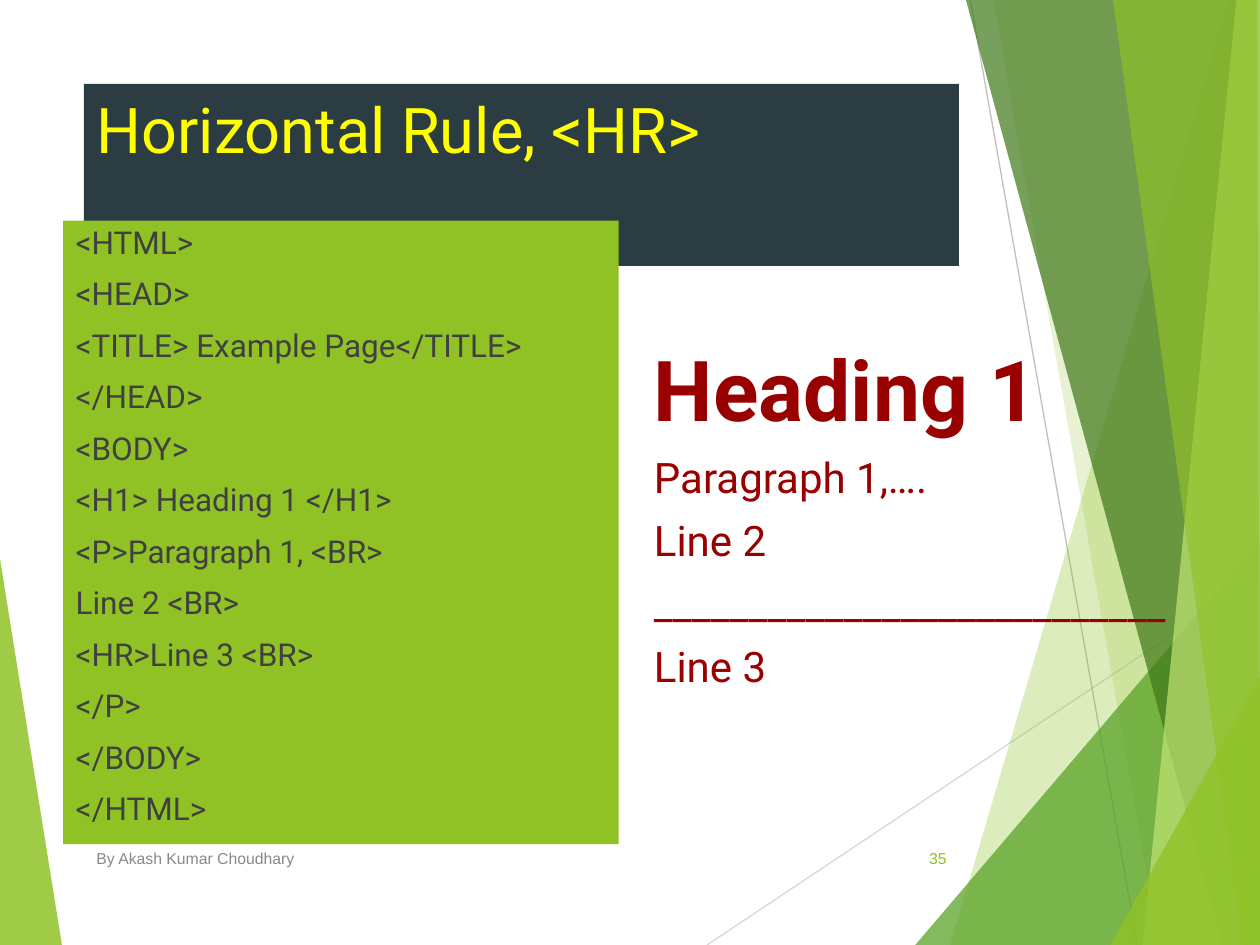
from dataclasses import dataclass
from itertools import pairwise

from lxml import etree
from pptx import Presentation
from pptx import util as u
from pptx.dml.color import RGBColor
from pptx.enum import shapes, text
from pptx.oxml.ns import qn


@dataclass(frozen=True)
class Theme:
    """Colours, fonts and type sizes of the slide."""
    green: str = "90C226"
    leaf: str = "54A021"
    forest: str = "3F7819"
    lime: str = "C0E474"
    slate: str = "2C3C43"
    yellow: str = "FFFF00"
    ink: str = "404040"
    red: str = "990000"
    grey: str = "898989"
    pale_line: str = "D9D9D9"
    line: str = "BFBFBF"
    font: str = "Roboto"
    small_font: str = "Arial"
    title: int = 36
    heading: int = 48
    result: int = 24
    code: int = 18
    small: int = 9


THEME = Theme()

CODE = [
    "<HTML>", "<HEAD>", "<TITLE> Example Page</TITLE>", "</HEAD>", "<BODY>",
    "<H1> Heading 1 </H1>", "<P>Paragraph 1, <BR>", "Line 2 <BR>",
    "<HR>Line 3 <BR>", "</P>", "</BODY>", "</HTML>",
]
RESULT = ["Paragraph 1,….", "Line 2", "_" * 27, "Line 3"]

RULES = [
    ((404, 540), (720.5, 329), THEME.pale_line),
    ((554.5, 0), (650, 540), THEME.line),
]
FACETS = [
    ([(702, 0), (543, 540), (721, 540), (721, 0)], THEME.green, 30),
    ([(567.5, 0), (662.5, 540), (721, 540), (721, 0)], THEME.green, 20),
    ([(523, 540), (720, 309), (721, 540)], THEME.leaf, 72),
    ([(552, 0), (698.5, 540), (721, 540), (721, 0)], THEME.forest, 70),
    ([(706.5, 0), (653, 540), (721, 540), (720, 0)], THEME.lime, 70),
    ([(636, 0), (710, 540), (720, 540), (718.5, 0)], THEME.green, 65),
    ([(634.5, 540), (721, 385), (721, 540)], THEME.green, 80),
]
LEFT_FACET = ([(-0.5, 316), (35.5, 540.5), (-0.5, 540)], THEME.green, 85)


def color(code):
    """Turn a hex code into a colour."""
    return RGBColor.from_string(code)


def add_facet(page, points, fill, opacity):
    """Draw a translucent polygon."""
    corners = [(u.Pt(x), u.Pt(y)) for x, y in points]
    builder = page.shapes.build_freeform(*corners[0], scale=1.0)
    builder.add_line_segments(corners[1:], close=True)
    shape = builder.convert_to_shape()
    shape.shadow.inherit = False
    shape.fill.solid()
    shape.fill.fore_color.rgb = color(fill)
    tint = shape.fill._xPr.find(".//" + qn("a:srgbClr"))
    etree.SubElement(tint, qn("a:alpha"), val=str(opacity * 1000))
    shape.line.fill.background()


def add_rule(page, start, end, stroke):
    """Draw a thin straight line."""
    ends = [u.Pt(value) for value in (*start, *end)]
    rule = page.shapes.add_connector(shapes.MSO_CONNECTOR.STRAIGHT, *ends)
    rule.line.color.rgb = color(stroke)
    rule.line.width = u.Pt(0.75)
    etree.SubElement(rule._element.spPr, qn("a:effectLst"))


def place(box, left, top, width, height, fill=None):
    """Position a text shape and set up its frame."""
    box.left, box.top = u.Pt(left), u.Pt(top)
    box.width, box.height = u.Pt(width), u.Pt(height)
    if fill:
        box.fill.solid()
        box.fill.fore_color.rgb = color(fill)
    frame = box.text_frame
    frame.word_wrap = True
    frame.auto_size = text.MSO_AUTO_SIZE.NONE
    frame.vertical_anchor = text.MSO_ANCHOR.TOP
    return frame


def add_span(para, words, size, ink, font=THEME.font, bold=False):
    """Add one formatted run to a paragraph."""
    span = para.add_run()
    span.text = words
    span.font.name = font
    span.font.size = u.Pt(size)
    span.font.bold = bold
    span.font.color.rgb = color(ink)


def fill_list(frame, lines, ink):
    """Write unbulleted lines, each given as words, size and weight."""
    for index, (words, size, bold) in enumerate(lines):
        para = frame.add_paragraph() if index else frame.paragraphs[0]
        para.line_spacing = 0.9
        para.space_before = u.Pt(10 if index else 0)
        props = para._p.get_or_add_pPr()
        props.set("marL", str(u.Pt(27)))
        props.set("indent", str(u.Pt(-27)))
        etree.SubElement(props, qn("a:buNone"))
        add_span(para, words, size, ink, bold=bold)


def add_footer(page, words, left, width, ink, align):
    """Add a small line of text at the foot of the slide."""
    box = page.shapes.add_textbox(0, 0, 0, 0)
    frame = place(box, left, 476, width, 28.75)
    frame.vertical_anchor = text.MSO_ANCHOR.MIDDLE
    para = frame.paragraphs[0]
    para.alignment = align
    add_span(para, words, THEME.small, ink, THEME.small_font)


def main():
    """Build and save the slide."""
    deck = Presentation()
    deck.slide_width, deck.slide_height = u.Pt(720), u.Pt(540)
    page = deck.slides.add_slide(deck.slide_layouts[3])
    title, code, result = page.placeholders

    add_facet(page, *LEFT_FACET)
    for rule in RULES:
        add_rule(page, *rule)
    for facet in FACETS:
        add_facet(page, *facet)
    for box in (title, code, result):
        page.shapes._spTree.append(box._element)

    para = place(title, 48, 48, 500, 104, THEME.slate).paragraphs[0]
    para.alignment = text.PP_ALIGN.LEFT
    add_span(para, "Horizontal Rule, <HR>", THEME.title, THEME.yellow)

    frame = place(code, 36, 126, 317.5, 356.4, THEME.green)
    fill_list(frame, [(words, THEME.code, False) for words in CODE], THEME.ink)

    frame = place(result, 366.5, 196, 317.5, 286.4)
    heading = [("Heading 1", THEME.heading, True)]
    lines = [(words, THEME.result, False) for words in RESULT]
    fill_list(frame, heading + lines, THEME.red)

    add_footer(page, "35", 507.5, 40.5, THEME.green, text.PP_ALIGN.RIGHT)
    add_footer(page, "By Akash Kumar Choudhary", 48, 364.5, THEME.grey,
               text.PP_ALIGN.LEFT)
    deck.save("out.pptx")


if __name__ == "__main__":
    main()
